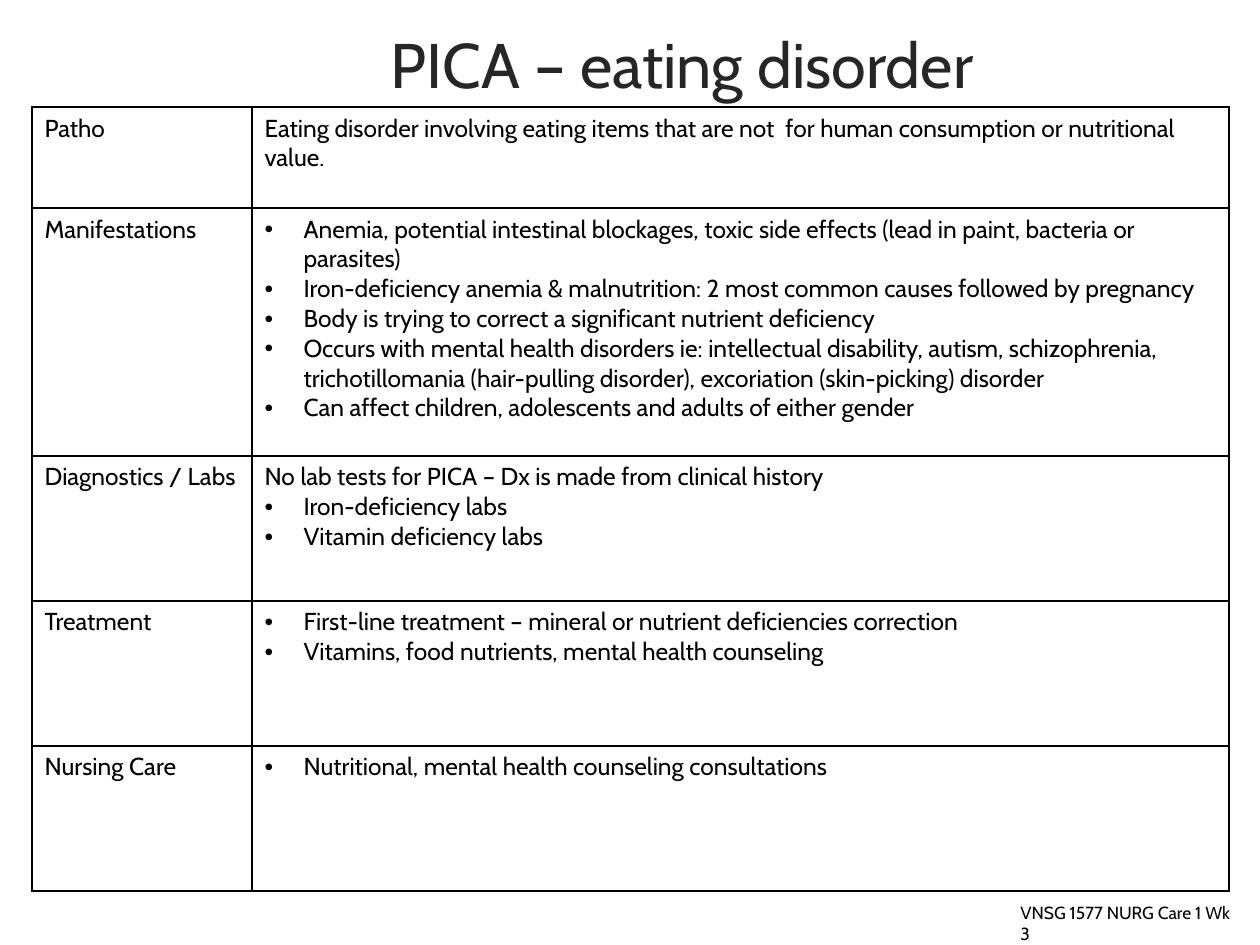
from lxml import etree
from pptx import Presentation, util as u
from pptx.dml.color import RGBColor
from pptx.enum import text
from pptx.oxml.ns import qn

TITLE = "PICA – eating disorder"
FOOTER = "VNSG 1577 NURG Care 1 Wk 3"
BULLET = "•"
ROWS = [
    (101, "Patho", [
        "Eating disorder involving eating items that are not  for human consumption or nutritional value.",
    ]),
    (248, "Manifestations", [
        "• Anemia, potential intestinal blockages, toxic side effects (lead in paint, bacteria or parasites)",
        "• Iron-deficiency anemia & malnutrition: 2 most common causes followed by pregnancy",
        "• Body is trying to correct a significant nutrient deficiency",
        "• Occurs with mental health disorders ie: intellectual disability, autism, schizophrenia, "
        "trichotillomania (hair-pulling disorder), excoriation (skin-picking) disorder",
        "• Can affect children, adolescents and adults of either gender",
    ]),
    (145, "Diagnostics / Labs", [
        "No lab tests for PICA – Dx is made from clinical history",
        "• Iron-deficiency labs",
        "• Vitamin deficiency labs",
    ]),
    (145, "Treatment", [
        "• First-line treatment – mineral or nutrient deficiencies correction",
        "• Vitamins, food nutrients, mental health counseling",
    ]),
    (145, "Nursing Care", [
        "• Nutritional, mental health counseling consultations",
    ]),
]

BLACK = RGBColor(0, 0, 0)
CHARCOAL = RGBColor(0x26, 0x26, 0x26)
FONT = "Cabin"
SLIDE_SIZE = (1260, 945)
TITLE_BOX = (378, 19, 608, 89)
FOOTER_BOX = (1008, 896, 243, 34)
TABLE_LEFT, TABLE_TOP = 32, 107
COLUMNS = (220, 977)
INDENT = 39
FRAME_FORMAT = {
    "word_wrap": True,
    "auto_size": text.MSO_AUTO_SIZE.NONE,
    "vertical_anchor": text.MSO_ANCHOR.TOP,
}


def px(length):
    return u.Emu(round(length * 914400 / 126))


def set_values(target, values):
    for name, value in values.items():
        setattr(target, name, value)


def write(paragraph, words, size, color=BLACK):
    if words.startswith(BULLET):
        words = words[len(BULLET):].strip()
        properties = paragraph._p.get_or_add_pPr()
        properties.set("marL", str(px(INDENT)))
        properties.set("indent", str(-px(INDENT)))
        etree.SubElement(properties, qn("a:buFont"), typeface="Arial")
        etree.SubElement(properties, qn("a:buChar"), char=BULLET)
    paragraph.alignment = text.PP_ALIGN.LEFT
    run = paragraph.add_run()
    run.text = words
    set_values(run.font, {"name": FONT, "size": u.Pt(size), "bold": False})
    run.font.color.rgb = color


def write_box(shape, box, words, size, color):
    set_values(shape, dict(zip(("left", "top", "width", "height"), map(px, box))))
    set_values(shape.text_frame, FRAME_FORMAT)
    write(shape.text_frame.paragraphs[0], words, size, color)


def add_borders(cell):
    properties = cell._tc.get_or_add_tcPr()
    for position, side in enumerate(("lnL", "lnR", "lnT", "lnB")):
        line = etree.Element(qn(f"a:{side}"), w=str(u.Pt(1)))
        fill = etree.SubElement(line, qn("a:solidFill"))
        etree.SubElement(fill, qn("a:srgbClr"), val=str(BLACK))
        properties.insert(position, line)


def fill_cell(cell, lines):
    cell.fill.background()
    add_borders(cell)
    frame = cell.text_frame
    for index, line in enumerate(lines):
        paragraph = frame.add_paragraph() if index else frame.paragraphs[0]
        write(paragraph, line, 14)


def add_care_table(slide):
    heights = [height for height, _, _ in ROWS]
    frame = slide.shapes.add_table(
        len(ROWS), len(COLUMNS),
        *map(px, (TABLE_LEFT, TABLE_TOP, sum(COLUMNS), sum(heights))))
    table = frame.table
    set_values(table, {"first_row": False, "horz_banding": False})
    for column, width in zip(table.columns, COLUMNS):
        column.width = px(width)
    for row, (height, heading, lines) in zip(table.rows, ROWS):
        row.height = px(height)
        fill_cell(row.cells[0], [heading])
        fill_cell(row.cells[1], lines)


def main():
    presentation = Presentation()
    presentation.slide_width, presentation.slide_height = map(px, SLIDE_SIZE)
    slide = presentation.slides.add_slide(presentation.slide_layouts[5])
    write_box(slide.shapes.title, TITLE_BOX, TITLE, 36, CHARCOAL)
    add_care_table(slide)
    footer = slide.shapes.add_textbox(*map(px, FOOTER_BOX))
    write_box(footer, FOOTER_BOX, FOOTER, 10, BLACK)
    presentation.save("out.pptx")


if __name__ == "__main__":
    main()
